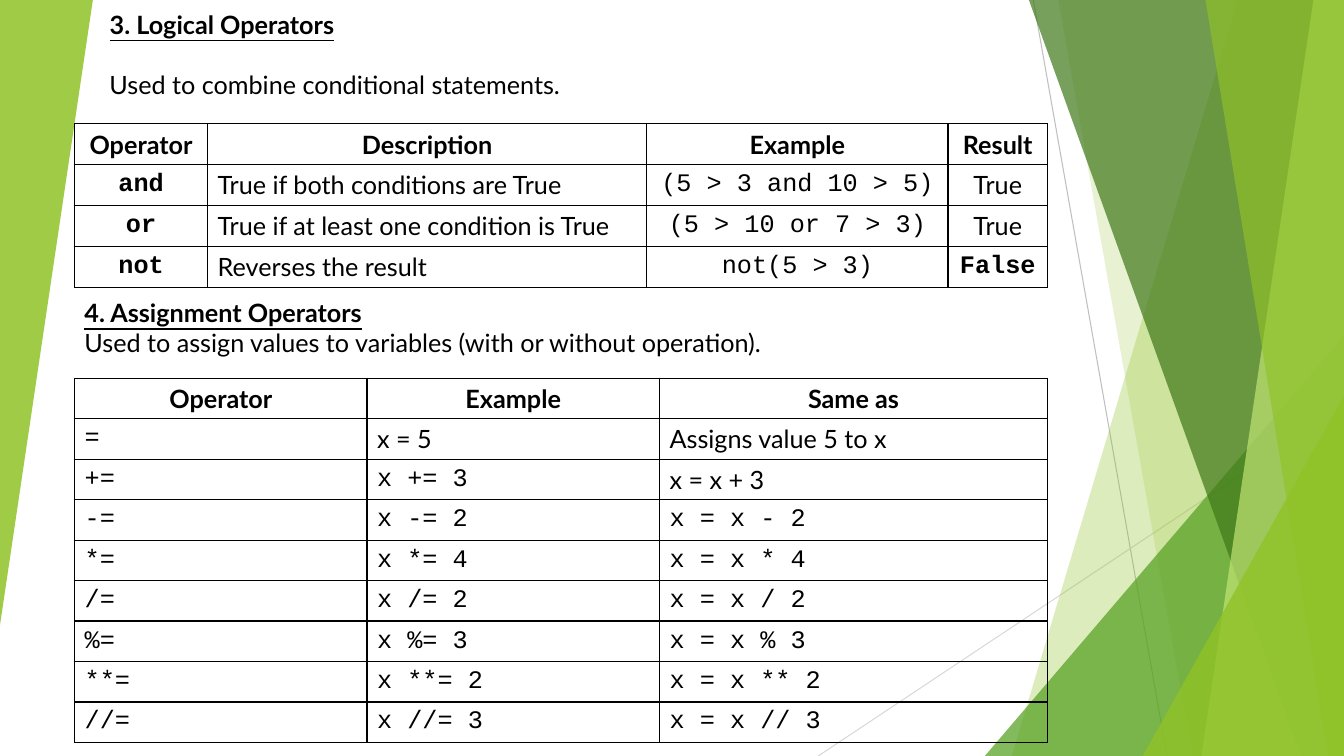
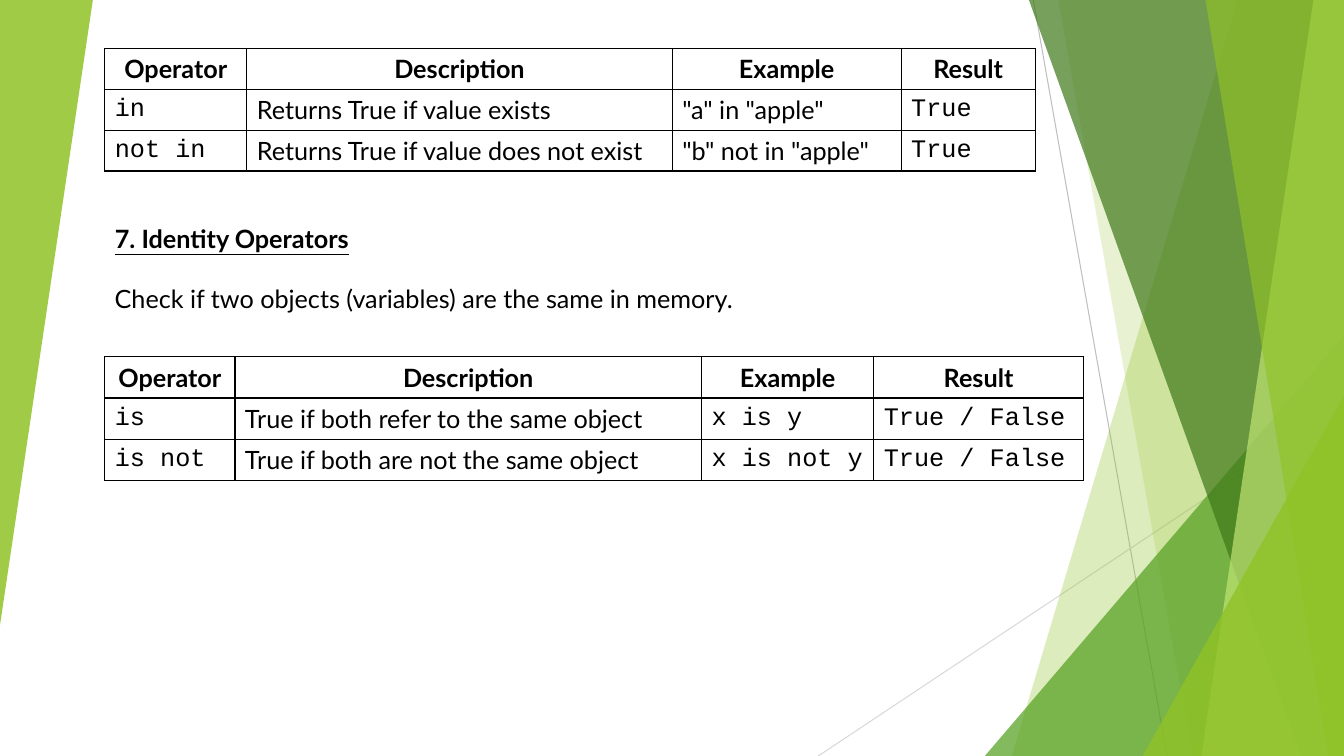
from dataclasses import dataclass

from lxml.etree import SubElement
from pptx import Presentation
from pptx.dml.color import RGBColor
from pptx.enum.shapes import MSO_CONNECTOR, MSO_SHAPE
from pptx.enum.text import MSO_ANCHOR, MSO_AUTO_SIZE, PP_ALIGN
from pptx.oxml.ns import qn
from pptx.util import Cm, Pt


@dataclass(frozen=True)
class Theme:
    text: str = "000000"
    border: str = "000000"
    lime: str = "90C226"
    green: str = "54A021"
    forest: str = "3F7819"
    pale: str = "C0E474"
    ray_dark: str = "BFBFBF"
    ray_light: str = "D9D9D9"
    body_font: str = "Lato"
    code_font: str = "Courier New"
    size: float = 18
    border_width: float = 1
    ray_width: float = 0.75


THEME = Theme()


@dataclass(frozen=True)
class Box:
    """Area in centimetres."""
    left: float
    top: float
    width: float
    height: float

    @property
    def right(self):
        return self.left + self.width

    @property
    def bottom(self):
        return self.top + self.height

    def emu(self):
        return Cm(self.left), Cm(self.top), Cm(self.width), Cm(self.height)


@dataclass(frozen=True)
class Entry:
    """One table cell's text and its format."""
    text: str
    font: str = THEME.body_font
    bold: bool = False
    align: PP_ALIGN = PP_ALIGN.LEFT

    def centred(self, bold=False):
        return Entry(self.text, self.font, bold, PP_ALIGN.CENTER)


def code(text):
    return Entry(text, THEME.code_font)


PAGE = Box(0, 0, 33.87, 19.05)
LINE_PITCH = 0.76
TEXT_HEIGHT = 1.02


def add_run(p, text, font=THEME.body_font, bold=False, underline=False):
    r = p.add_run()
    r.text = text
    r.font.name = font
    r.font.size = Pt(THEME.size)
    r.font.bold = bold
    r.font.underline = underline
    r.font.color.rgb = RGBColor.from_string(THEME.text)


def paint(sp, color, opacity):
    """Fill without outline or shadow; opacity is in percent."""
    sp.shadow.inherit = False
    sp.line.fill.background()
    sp.fill.solid()
    sp.fill.fore_color.rgb = RGBColor.from_string(color)
    solid = sp.element.spPr.find(qn("a:solidFill"))
    SubElement(solid[0], qn("a:alpha"), val=str(opacity * 1000))


def add_ray(shapes, start, end, color):
    points = [Cm(v) for v in (*start, *end)]
    ray = shapes.add_connector(MSO_CONNECTOR.STRAIGHT, *points)
    ray.line.color.rgb = RGBColor.from_string(color)
    ray.line.width = Pt(THEME.ray_width)
    SubElement(ray.element.spPr, qn("a:effectLst"))


def add_slat(shapes, box, top_x, bottom_x, color, opacity):
    """Full-height band from a slanted left edge to the box's right side."""
    corners = [(top_x, box.top), (box.right, box.top),
               (box.right, box.bottom), (bottom_x, box.bottom)]
    points = [(Cm(x), Cm(y)) for x, y in corners]
    builder = shapes.build_freeform(*points[0])
    builder.add_line_segments(points[1:], close=True)
    paint(builder.convert_to_shape(), color, opacity)


def add_wedge(shapes, box, color, opacity, rotation=0):
    """Right triangle with its upright side on the right."""
    sp = shapes.add_shape(MSO_SHAPE.ISOSCELES_TRIANGLE, *box.emu())
    sp.adjustments[0] = 1
    sp.rotation = rotation
    paint(sp, color, opacity)


def corner_box(box, left, top):
    return Box(left, top, box.right - left, box.bottom - top)


def add_backdrop(slide, box):
    """Draw the facets once and hand them to the layout of the slide."""
    group = slide.shapes.add_group_shape()
    shapes = group.shapes
    add_ray(shapes, (26.04, box.top), (29.41, box.bottom), THEME.ray_dark)
    add_ray(shapes, (box.right, 10.24), (20.62, box.bottom), THEME.ray_light)
    add_slat(shapes, box, 31.19, 25.5, THEME.lime, 30)
    add_slat(shapes, box, 26.67, 30.05, THEME.lime, 20)
    add_wedge(shapes, corner_box(box, 24.82, 8.46), THEME.green, 72)
    add_slat(shapes, box, 25.93, 32.79, THEME.forest, 70)
    add_slat(shapes, box, 33.1, 30.28, THEME.pale, 70)
    add_slat(shapes, box, 30.38, 33.48, THEME.lime, 65)
    add_wedge(shapes, corner_box(box, 28.8, 9.98), THEME.lime, 80)
    add_wedge(shapes, Box(box.left, box.top, 2.34, 15.75), THEME.lime, 85, 180)
    slide.slide_layout.shapes.element.insert(2, group.element)


def fill_text(sp, box, text, **style):
    sp.left, sp.top, sp.width, sp.height = box.emu()
    tf = sp.text_frame
    tf.word_wrap = True
    tf.auto_size = MSO_AUTO_SIZE.NONE
    tf.vertical_anchor = MSO_ANCHOR.TOP
    p = tf.paragraphs[0]
    p.alignment = PP_ALIGN.LEFT
    add_run(p, text, **style)


def add_intro(slide, box, heading, sentence, is_title=True):
    """Heading at the top of the box, sentence on its last line."""
    top_line = Box(box.left, box.top, box.width, TEXT_HEIGHT)
    last_line = Box(box.left, box.top + box.height - LINE_PITCH,
                    box.width, TEXT_HEIGHT)
    shapes = slide.shapes
    sp = shapes.title if is_title else shapes.add_textbox(*top_line.emu())
    fill_text(sp, top_line, heading, bold=True, underline=True)
    fill_text(shapes.add_textbox(*last_line.emu()), last_line, sentence)


def border_cell(cell):
    tc_pr = cell._tc.get_or_add_tcPr()
    for side in ("lnL", "lnR", "lnT", "lnB"):
        ln = SubElement(tc_pr, qn(f"a:{side}"),
                        w=str(Pt(THEME.border_width)))
        solid = SubElement(ln, qn("a:solidFill"))
        SubElement(solid, qn("a:srgbClr"), val=THEME.border)


def fill_cell(cell, entry):
    border_cell(cell)
    cell.fill.background()
    cell.vertical_anchor = MSO_ANCHOR.MIDDLE
    p = cell.text_frame.paragraphs[0]
    p.alignment = entry.align
    add_run(p, entry.text, entry.font, entry.bold)


def add_operator_table(slide, left, top, widths, headers, rows,
                       row_height=1.03):
    grid = [[Entry(h).centred(bold=True) for h in headers], *rows]
    box = Box(left, top, sum(widths), row_height * len(grid))
    table = slide.shapes.add_table(len(grid), len(widths), *box.emu()).table
    table.first_row = table.horz_banding = False
    for column, width in zip(table.columns, widths):
        column.width = Cm(width)
    for i, entries in enumerate(grid):
        table.rows[i].height = Cm(row_height)
        for j, entry in enumerate(entries):
            fill_cell(table.cell(i, j), entry)


RESULT_HEADERS = ("Operator", "Description", "Example", "Result")


def logical_and_assignment(slide):
    left, width = 1.88, 24.53
    add_intro(slide, Box(2.51, 0.1, 23.27, 3 * LINE_PITCH),
              "3. Logical Operators",
              "Used to combine conditional statements.")
    logical = [
        ("and", "True if both conditions are True", "(5 > 3 and 10 > 5)",
         Entry("True").centred()),
        ("or", "True if at least one condition is True",
         "(5 > 10 or 7 > 3)", Entry("True").centred()),
        ("not", "Reverses the result", "not(5 > 3)",
         code("False").centred(bold=True)),
    ]
    add_operator_table(
        slide, left, 3.12, (3.35, 11.07, 7.59, 2.51), RESULT_HEADERS,
        [(code(name).centred(bold=True), Entry(meaning),
          code(example).centred(), result)
         for name, meaning, example, result in logical])

    add_intro(slide, Box(left, 7.37, width, 2 * LINE_PITCH),
              "4. Assignment Operators",
              "Used to assign values to variables (with or without operation).",
              is_title=False)
    operands = (("-", 2), ("*", 4), ("/", 2), ("%", 3), ("**", 2), ("//", 3))
    assignment = [
        (code("="), Entry("x = 5"), Entry("Assigns value 5 to x")),
        (code("+="), code("x += 3"), Entry("x = x + 3")),
        *((code(f"{op}="), code(f"x {op}= {n}"), code(f"x = x {op} {n}"))
          for op, n in operands),
    ]
    add_operator_table(slide, left, 9.53, (7.37, 7.37, 9.78),
                       ("Operator", "Example", "Same as"), assignment, 1.02)


def membership_and_identity(slide):
    left = 2.64
    membership = [
        ("in", "Returns True if value exists", '"a" in "apple"'),
        ("not in", "Returns True if value does not exist",
         '"b" not in "apple"'),
    ]
    add_operator_table(
        slide, left, 1.22, (3.58, 10.72, 5.77, 3.38), RESULT_HEADERS,
        [(code(name), Entry(meaning), Entry(example), code("True"))
         for name, meaning, example in membership])

    add_intro(slide, Box(left, 5.49, 23.42, 3 * LINE_PITCH),
              "7. Identity Operators",
              "Check if two objects (variables) are the same in memory.")
    identity = [
        ("is", "True if both refer to the same object"),
        ("is not", "True if both are not the same object"),
    ]
    add_operator_table(
        slide, left, 8.99, (3.28, 11.76, 4.34, 5.28), RESULT_HEADERS,
        [(code(name), Entry(meaning), code(f"x {name} y"),
          code("True / False")) for name, meaning in identity], 1.04)


def main():
    prs = Presentation()
    prs.slide_width, prs.slide_height = Cm(PAGE.width), Cm(PAGE.height)
    layout = prs.slide_layouts[5]
    slides = [prs.slides.add_slide(layout) for _ in range(2)]
    add_backdrop(slides[0], PAGE)
    logical_and_assignment(slides[0])
    membership_and_identity(slides[1])
    prs.save("out.pptx")


if __name__ == "__main__":
    main()
